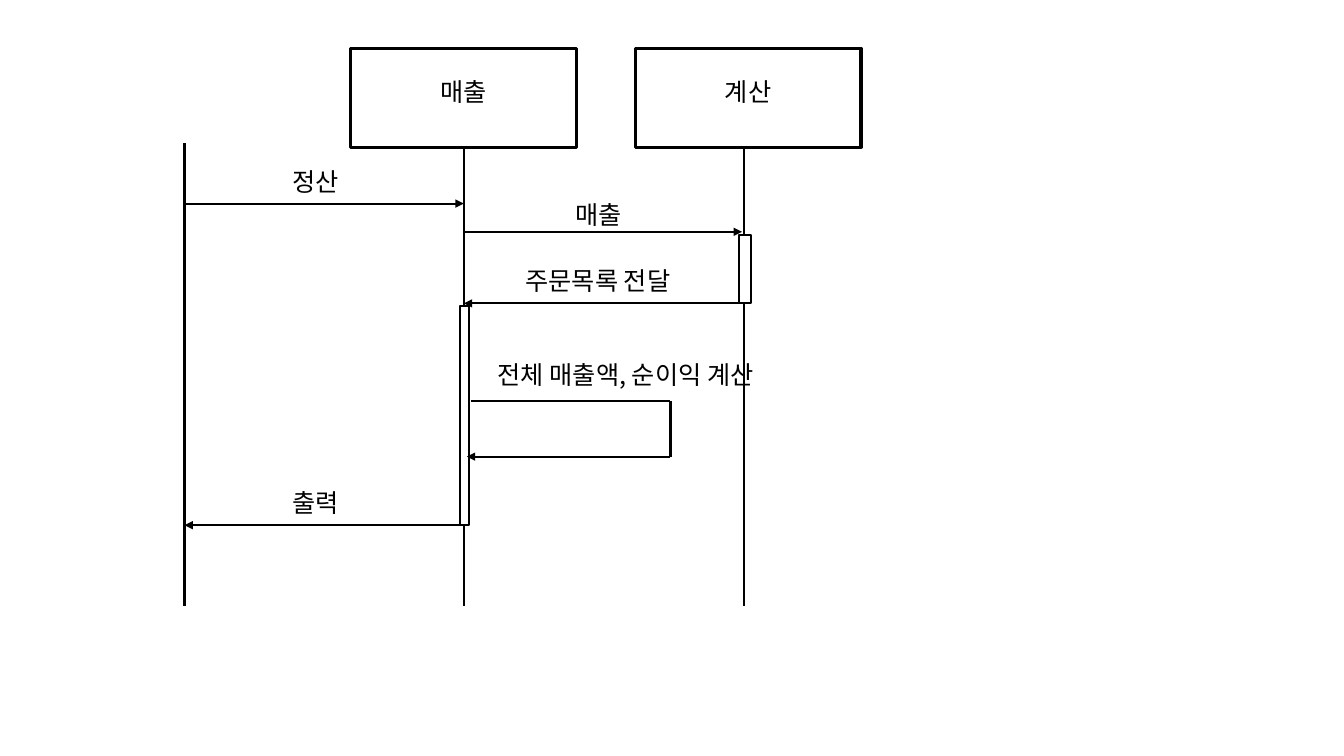
from lxml.etree import SubElement
from pptx import Presentation
from pptx.dml.color import RGBColor
from pptx.enum.shapes import MSO_CONNECTOR, MSO_SHAPE
from pptx.enum.text import MSO_AUTO_SIZE, PP_ALIGN
from pptx.oxml.ns import qn
from pptx.util import Inches, Pt

BOTTOM = 2  # connection site


def color(value):
    return RGBColor.from_string(value)


class SequenceDiagram:
    font_name = "Noto Sans CJK KR"
    ink, paper = "000000", "FFFFFF"
    label_width, label_height = 2.24, 0.4

    def __init__(self, slide):
        self.slide = slide

    def set_line(self, shape, width):
        shape.line.color.rgb = color(self.ink)
        shape.line.width = Pt(width)

    def box(self, left, top, width, height, line_width=1.5):
        shape = self.slide.shapes.add_shape(
            MSO_SHAPE.RECTANGLE, *map(Inches, (left, top, width, height)))
        shape.shadow.inherit = False
        shape.fill.solid()
        shape.fill.fore_color.rgb = color(self.paper)
        self.set_line(shape, line_width)
        return shape

    def line(self, start, end, arrow=False, source=None):
        connector = self.slide.shapes.add_connector(
            MSO_CONNECTOR.STRAIGHT, *map(Inches, (*start, *end)))
        if source is not None:
            connector.begin_connect(source, BOTTOM)
        self.set_line(connector, 1.5)
        if arrow:
            SubElement(connector.line._get_or_add_ln(), qn("a:tailEnd"), type="triangle")
        SubElement(connector._element.spPr, qn("a:effectLst"))
        return connector

    def label(self, text, left, top, width=label_width):
        shape = self.slide.shapes.add_textbox(
            *map(Inches, (left, top, width, self.label_height)))
        frame = shape.text_frame
        frame.word_wrap = True
        frame.auto_size = MSO_AUTO_SIZE.SHAPE_TO_FIT_TEXT
        paragraph = frame.paragraphs[0]
        paragraph.alignment = PP_ALIGN.CENTER
        run = paragraph.add_run()
        run.text = text
        for name, value in {"name": self.font_name, "size": Pt(18)}.items():
            setattr(run.font, name, value)
        run.font.color.rgb = color(self.ink)
        SubElement(run._r.get_or_add_rPr(), qn("a:ea"), typeface=self.font_name)


def main():
    presentation = Presentation()
    for name, value in {"slide_width": 13.33, "slide_height": 7.5}.items():
        setattr(presentation, name, Inches(value))
    slide = presentation.slides.add_slide(presentation.slide_layouts[6])
    diagram = SequenceDiagram(slide)
    user, sales, calculation = 1.83, 4.6, 7.38
    life_end = 6.01

    # Participants
    heads = []
    for name, left in (("매출", 3.48), ("계산", 6.3)):
        heads.append(diagram.box(left, 0.48, 2.24, 0.98, 2.25))
        diagram.label(name, left, 0.71)

    # Lifelines
    for x, top, head in ((user, 1.42, None), (sales, 1.46, heads[0]),
                         (calculation, 1.46, None)):
        diagram.line((x, top), (x, life_end), source=head)

    # Activation bars
    calculation_bar = diagram.box(7.33, 2.33, 0.12, 0.68)
    sales_bar = diagram.box(4.56, 3.04, 0.09, 2.17)

    # Messages
    for start, end, y, source in (
        (user, sales, 2.02, None),
        (sales, 7.36, 2.3, None),
        (7.39, sales, 3.01, calculation_bar),
        (4.6, user, 5.21, sales_bar),
    ):
        diagram.line((start, y), (end, y), arrow=True, source=source)

    # Call of the sales participant to itself
    corners = [(4.67, 3.98), (6.65, 3.98), (6.65, 4.53), (4.63, 4.53)]
    loop = [diagram.line(start, end, arrow=end == corners[-1])
            for start, end in zip(corners, corners[1:])]
    slide.shapes.add_group_shape(loop)

    # Message labels
    for text, left, top in (("정산", 2.01, 1.6), ("매출", 4.82, 1.93),
                            ("주문목록 전달", 4.81, 2.58), ("출력", 2.01, 4.79)):
        diagram.label(text, left, top)
    diagram.label("전체 매출액, 순이익 계산", 4.11, 3.52, 4.19)

    presentation.save("out.pptx")


if __name__ == "__main__":
    main()
